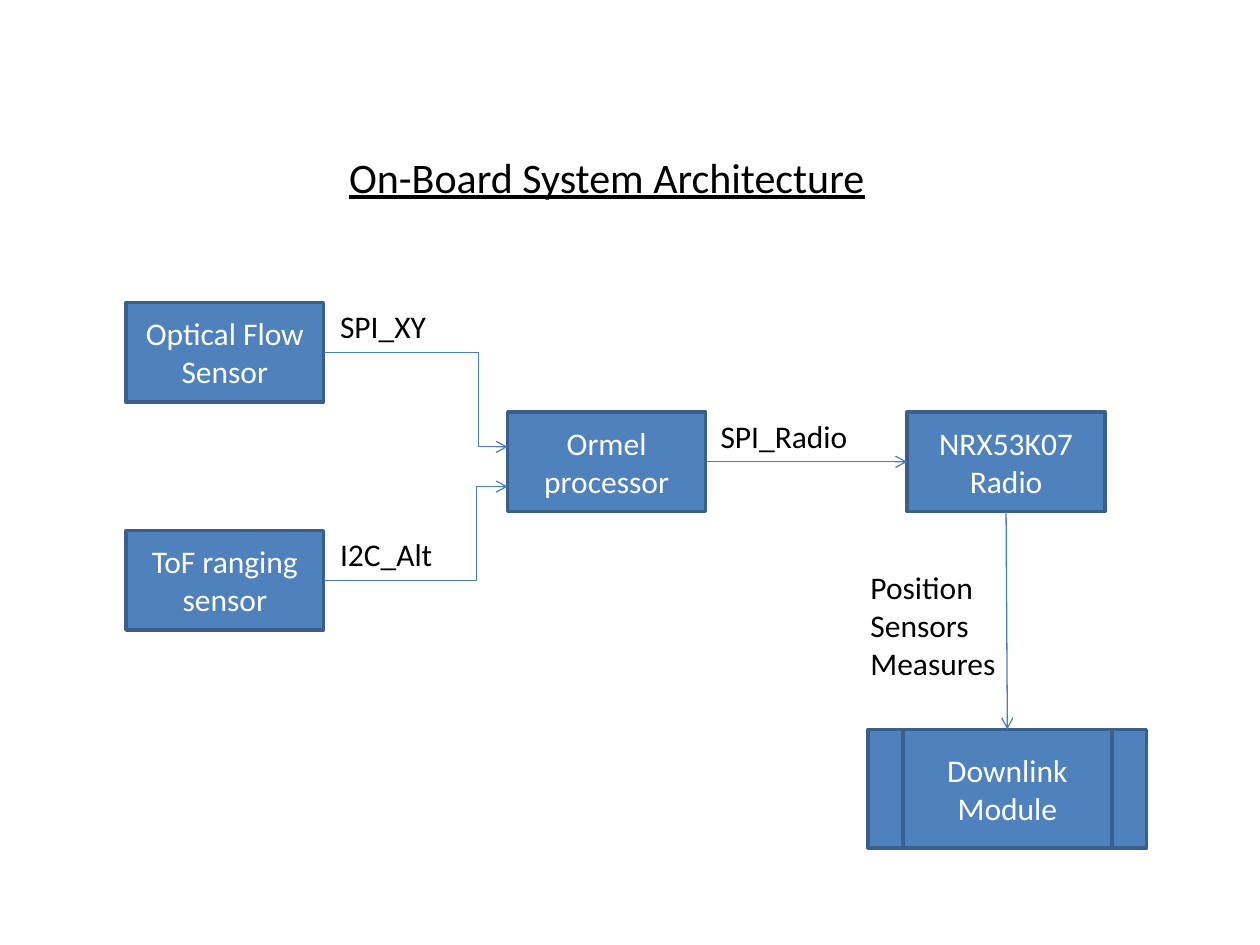
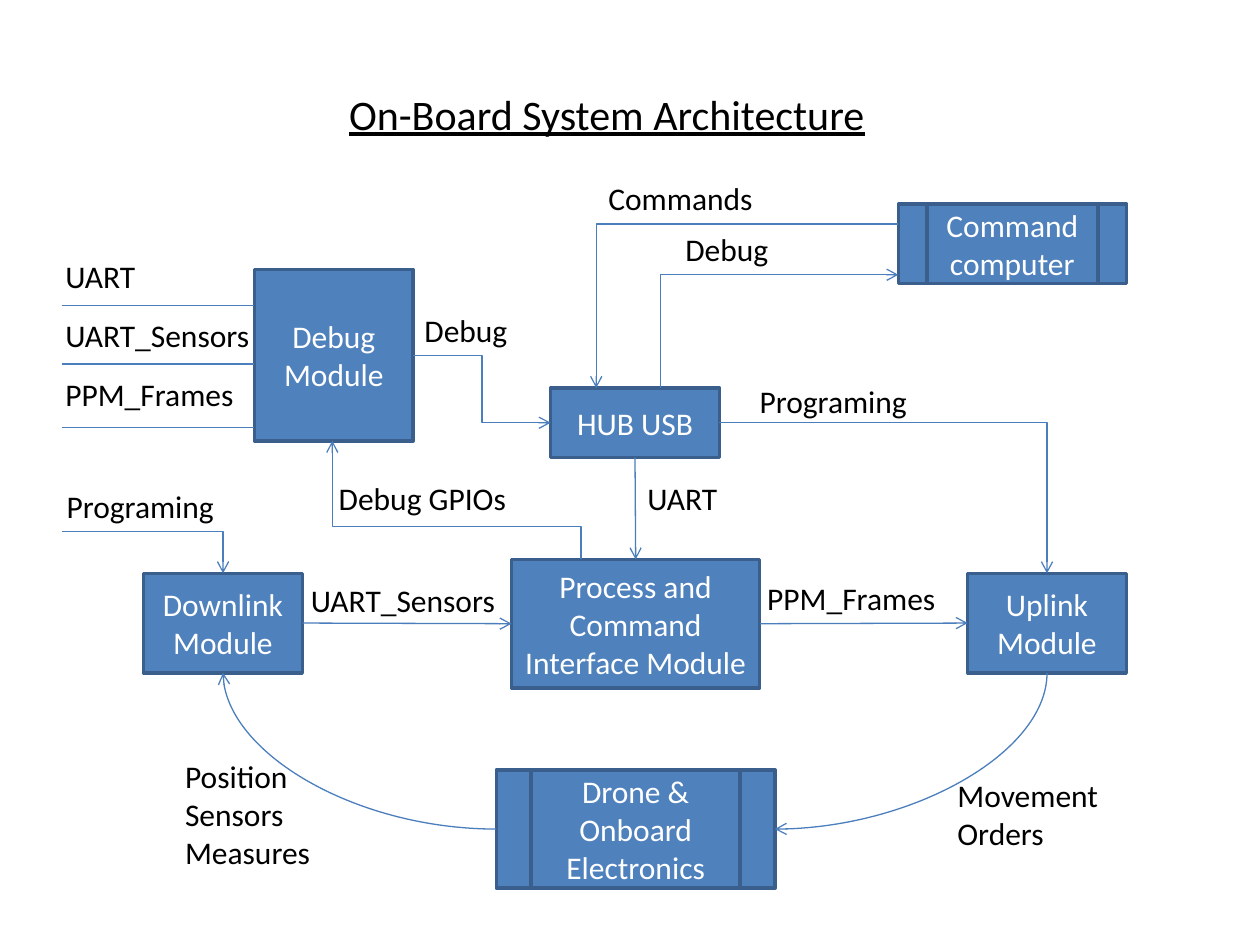
from dataclasses import dataclass
from lxml import etree
from pptx import Presentation
from pptx import util as u
from pptx.dml import color
from pptx.enum import shapes, text
from pptx.oxml import ns

COLUMNS, ROWS = 100, 75
DECK_WIDTH, DECK_HEIGHT = u.Inches(10), u.Inches(7.5)


@dataclass(frozen=True)
class Theme:
    font: str = "Calibri"
    ink: str = "000000"
    light: str = "FFFFFF"
    fill: str = "4F81BD"
    edge: str = "3A5F8C"
    wire: str = "4B7EBC"
    title_size: int = 24
    text_size: int = 18
    edge_width: float = 2
    wire_width: float = 0.75


THEME = Theme()


@dataclass(frozen=True)
class Box:
    left: float
    top: float
    width: float
    height: float

    def cell(self, column, row, columns, rows):
        return Box(self.left + column, self.top + row, columns, rows)

    def at(self, across, down):
        return self.left + across * self.width, self.top + down * self.height

    def lengths(self):
        return across(self.left), down(self.top), across(self.width), down(self.height)


def across(columns):
    return round(DECK_WIDTH * columns / COLUMNS)


def down(rows):
    return round(DECK_HEIGHT * rows / ROWS)


def rgb(value):
    return color.RGBColor.from_string(value)


def write(frame, words, size, ink, align, underline=None):
    frame.word_wrap = True
    para = frame.paragraphs[0]
    para.alignment = align
    span = para.add_run()
    span.text = words
    span.font.name = THEME.font
    span.font.size = u.Pt(size)
    span.font.color.rgb = rgb(ink)
    span.font.underline = underline


def add_title(page, words, box):
    title = page.shapes.title
    title.left, title.top, title.width, title.height = box.lengths()
    title.text_frame.vertical_anchor = text.MSO_ANCHOR.TOP
    write(title.text_frame, words, THEME.title_size, THEME.ink, text.PP_ALIGN.LEFT, True)
    title.text_frame.auto_size = text.MSO_AUTO_SIZE.SHAPE_TO_FIT_TEXT


def add_label(page, words, box):
    label = page.shapes.add_textbox(*box.lengths())
    write(label.text_frame, words, THEME.text_size, THEME.ink, text.PP_ALIGN.LEFT)
    label.text_frame.auto_size = text.MSO_AUTO_SIZE.SHAPE_TO_FIT_TEXT


def add_node(page, words, box, external=False):
    kinds = shapes.MSO_SHAPE
    kind = kinds.FLOWCHART_PREDEFINED_PROCESS if external else kinds.RECTANGLE
    node = page.shapes.add_shape(kind, *box.lengths())
    node.shadow.inherit = False
    node.fill.solid()
    node.fill.fore_color.rgb = rgb(THEME.fill)
    node.line.color.rgb = rgb(THEME.edge)
    node.line.width = u.Pt(THEME.edge_width)
    node.text_frame.vertical_anchor = text.MSO_ANCHOR.MIDDLE
    write(node.text_frame, words, THEME.text_size, THEME.light, text.PP_ALIGN.CENTER)
    return box


def style_wire(wire, arrow):
    wire.line.color.rgb = rgb(THEME.wire)
    wire.line.width = u.Pt(THEME.wire_width)
    properties = wire.element.spPr
    if arrow:
        etree.SubElement(properties.find(ns.qn("a:ln")), ns.qn("a:tailEnd"), type="arrow")
    etree.SubElement(properties, ns.qn("a:effectLst"))


def add_line(page, start, end, arrow=True):
    wire = page.shapes.add_connector(
        shapes.MSO_CONNECTOR.STRAIGHT,
        across(start[0]), down(start[1]), across(end[0]), down(end[1]))
    style_wire(wire, arrow)


def add_route(page, start, end, preset="bentConnector2", downward=False, bend=None):
    x1, y1, x2, y2 = across(start[0]), down(start[1]), across(end[0]), down(end[1])
    run, rise = x2 - x1, y2 - y1
    width, height = (abs(rise), abs(run)) if downward else (abs(run), abs(rise))
    left, top = (x1 + x2 - width) // 2, (y1 + y2 - height) // 2
    wire = page.shapes.add_connector(
        shapes.MSO_CONNECTOR.ELBOW, left, top, left + width, top + height)
    backward = rise < 0 if downward else run < 0
    mirrored = run > 0 if downward else rise < 0
    turn = 90 * downward + 180 * backward
    frame = wire.element.spPr.find(ns.qn("a:xfrm"))
    frame.set("rot", str(turn * 60000))
    if mirrored != backward:
        frame.set("flipV", "1")
    outline = wire.element.spPr.find(ns.qn("a:prstGeom"))
    outline.set("prst", preset)
    if bend is not None:
        guides = outline.find(ns.qn("a:avLst"))
        etree.SubElement(guides, ns.qn("a:gd"), name="adj1", fmla=f"val {round(bend * 100000)}")
    style_wire(wire, True)


def draw_sensors(page, area, processor):
    inputs = (("Optical Flow Sensor", "SPI_XY", 0, 0.35, 0.84),
              ("ToF ranging sensor", "I2C_Alt", 18.1, 0.75, 0.83))
    for name, signal, row, entry, bend in inputs:
        sensor = add_node(page, name, area.cell(0, row, 15.7, 7.9))
        add_label(page, signal, area.cell(16, row - 0.1, 15.1, 4))
        add_route(page, sensor.at(1, 0.5), processor.at(0, entry), "bentConnector3", bend=bend)


def draw_radio_link(page, area, processor):
    radio = add_node(page, "NRX53K07 Radio", area.cell(3.1, 0, 15.7, 7.9))
    downlink = add_node(page, "Downlink Module", area.cell(0, 25.2, 22.1, 9.4), True)
    add_line(page, processor.at(1, 0.5), radio.at(0, 0.5))
    add_line(page, radio.at(0.5, 1), downlink.at(0.5, 0))
    add_label(page, "SPI_Radio", area.cell(-12.7, -0.1, 15.1, 4))
    add_label(page, "Position Sensors Measures", area.cell(-0.8, 11.9, 15.1, 10.1))


def draw_debug(page, area):
    debug = add_node(page, "Debug Module", area.cell(16.2, 2.4, 12.6, 13.6))
    signals = (("UART", 0.9, 15.1, 0.21),
               ("UART_Sensors", 5.6, 18.2, 0.55),
               ("PPM_Frames", 10.3, 16.6, 0.92))
    for signal, row, columns, entry in signals:
        add_label(page, signal, area.cell(0.2, row, columns, 4))
        end = debug.at(0, entry)
        add_line(page, (area.left + 0.9, end[1]), end, arrow=False)
    return debug


def draw_command_desk(page, area):
    hub = add_node(page, "HUB USB", area.cell(3.7, 17.8, 13.4, 5.5))
    computer = add_node(page, "Command computer", area.cell(31.3, 3.2, 18.1, 6.3), True)
    add_route(page, computer.at(0, 0.25), hub.at(0.27, 0))
    add_route(page, hub.at(0.65, 0), computer.at(0, 0.89), downward=True)
    add_label(page, "Commands", area.cell(7.3, 0.7, 15.1, 4))
    add_label(page, "Debug", area.cell(13.4, 4.8, 15.1, 4))
    return hub


def draw_flight_loop(page, area):
    downlink, uplink = (
        add_node(page, name, area.cell(column, 1.5, 12.6, 7.9))
        for name, column in (("Downlink Module", 11.4), ("Uplink Module", 76.8)))
    process = add_node(page, "Process and Command Interface Module",
                       area.cell(40.6, 0.4, 19.7, 10.2))
    drone = add_node(page, "Drone & Onboard Electronics", area.cell(39.4, 17.1, 22.1, 9.4), True)
    add_line(page, downlink.at(1, 0.5), process.at(0, 0.5))
    add_line(page, process.at(1, 0.5), uplink.at(0, 0.5))
    add_route(page, drone.at(0, 0.5), downlink.at(0.5, 1), "curvedConnector2")
    add_route(page, uplink.at(0.5, 1), drone.at(1, 0.5), "curvedConnector2", downward=True)
    add_label(page, "UART_Sensors", area.cell(23.7, 1.6, 18.4, 4))
    add_label(page, "PPM_Frames", area.cell(59.9, 1.5, 16.9, 4))
    add_label(page, "Movement Orders", area.cell(75, 17.1, 15.1, 7.1))
    add_label(page, "Position Sensors Measures", area.cell(13.7, 15.6, 15.1, 10.1))
    return downlink, process, uplink


def draw_exchanges(page, area, debug, hub, downlink, process, uplink):
    add_route(page, debug.at(1, 0.5), hub.at(0, 0.5), "bentConnector3", bend=0.5)
    add_route(page, process.at(0.28, 0), debug.at(0.49, 1), "bentConnector3", True, 0.28)
    add_line(page, hub.at(0.5, 1), process.at(0.5, 0))
    add_route(page, hub.at(1, 0.5), uplink.at(0.5, 0))
    add_route(page, (area.left + 4.9, area.top + 42.2), downlink.at(0.5, 0))
    labels = (("Debug", 32.7, 24.2, 15.1), ("Debug GPIOs", 25.9, 37.5, 17.4),
              ("UART", 50.4, 37.5, 15.1), ("Programing", 59.3, 29.8, 16.9),
              ("Programing", 4.3, 38.2, 16.9))
    for words, column, row, columns in labels:
        add_label(page, words, area.cell(column, row, columns, 4))


def build_sensor_page(page, area):
    add_title(page, "On-Board System Architecture", area.cell(26.7, 11.5, 44.6, 5))
    processor = add_node(page, "Ormel processor", area.cell(40.3, 32.7, 15.7, 7.9))
    draw_sensors(page, area.cell(10, 24, 30, 26), processor)
    draw_radio_link(page, area.cell(68.9, 32.7, 22.1, 34.6), processor)


def build_module_page(page, area):
    add_title(page, "On-Board System Architecture", area.cell(26.7, 6.5, 44.6, 5))
    debug = draw_debug(page, area.cell(4, 19, 30, 20))
    hub = draw_command_desk(page, area.cell(40, 13, 50, 25))
    downlink, process, uplink = draw_flight_loop(page, area.cell(0, 44, 100, 31))
    draw_exchanges(page, area, debug, hub, downlink, process, uplink)


deck = Presentation()
deck.slide_width, deck.slide_height = DECK_WIDTH, DECK_HEIGHT
title_only = deck.slide_layouts.get_by_name("Title Only")
for build in (build_sensor_page, build_module_page):
    build(deck.slides.add_slide(title_only), Box(0, 0, COLUMNS, ROWS))
deck.save("out.pptx")
